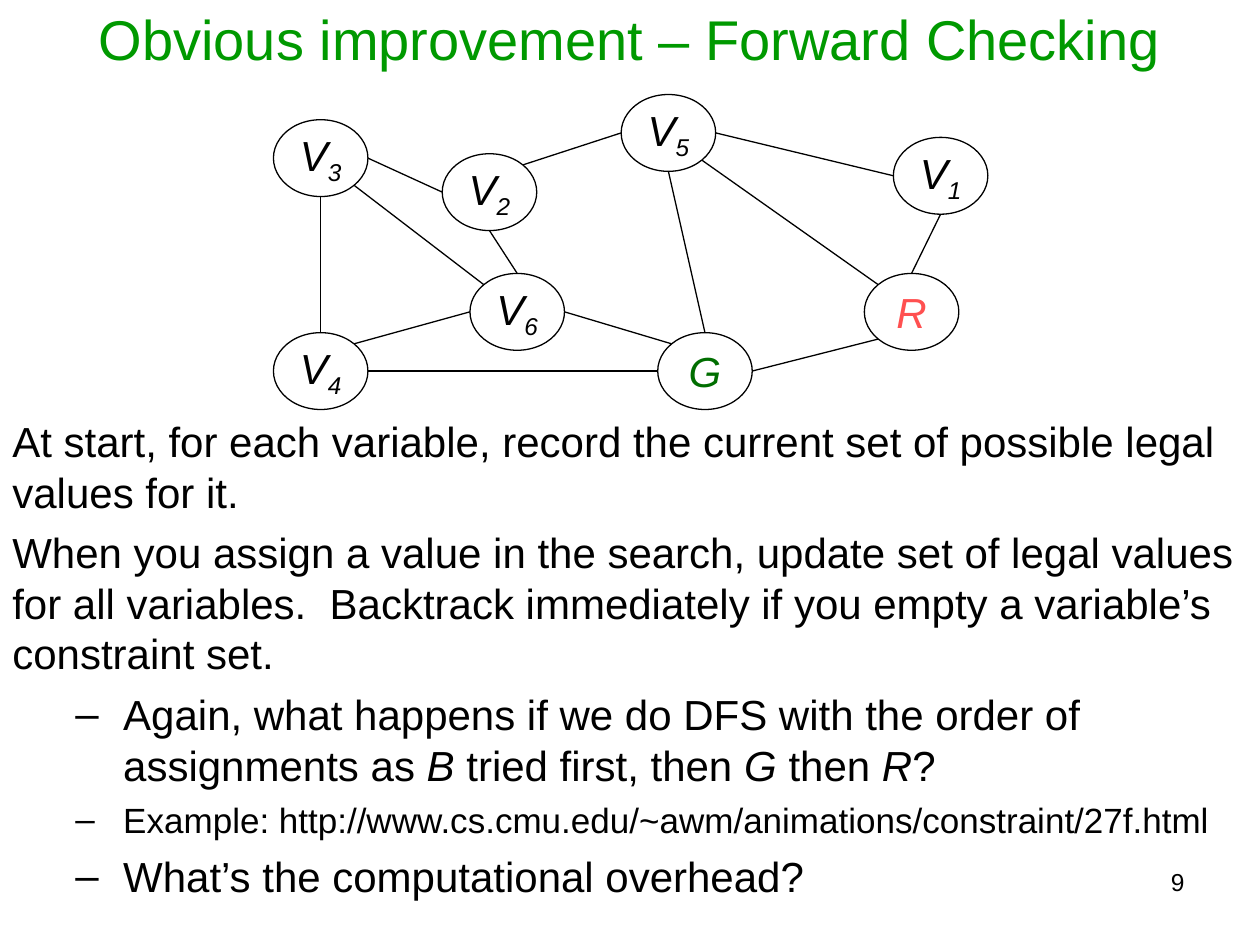
from dataclasses import dataclass

from lxml import etree
from pptx import Presentation
from pptx import util as u
from pptx.dml.color import RGBColor
from pptx.enum import shapes, text
from pptx.oxml.ns import qn


@dataclass(frozen=True)
class Theme:
    font: str = "Arial"
    ink: str = "000000"
    title: str = "009900"
    red: str = "FF5050"
    green: str = "006E00"
    title_size: int = 32
    body_size: int = 24
    example_size: int = 20
    number_size: int = 14
    line_width: float = 0.75


THEME = Theme()
NODE_W, NODE_H = 0.75, 0.61

# Variable nodes: left, top, letter, subscript, colour
NODES = {
    "V3": (2.17, 0.95, "V", "3", THEME.ink),
    "V6": (3.73, 2.17, "V", "6", THEME.ink),
    "V2": (3.51, 1.22, "V", "2", THEME.ink),
    "R": (6.86, 2.17, "R", "", THEME.red),
    "G": (5.22, 2.64, "G", "", THEME.green),
    "V1": (7.09, 1.09, "V", "1", THEME.ink),
    "V5": (4.93, 0.75, "V", "5", THEME.ink),
    "V4": (2.17, 2.64, "V", "4", THEME.ink),
}

# Points on a node's rim, as directions from its centre
DIAGONAL = 0.71
SITES = {
    "n": (0, -1), "s": (0, 1), "w": (-1, 0), "e": (1, 0),
    "ne": (DIAGONAL, -DIAGONAL), "nw": (-DIAGONAL, -DIAGONAL),
    "se": (DIAGONAL, DIAGONAL), "sw": (-DIAGONAL, DIAGONAL),
}

# Constraints: node and rim point at each end
CONSTRAINTS = [
    ("V3", "s", "V4", "n"), ("V3", "e", "V2", "w"), ("V3", "se", "V6", "nw"),
    ("V4", "e", "G", "w"), ("V4", "ne", "V6", "w"), ("V6", "n", "V2", "s"),
    ("V2", "ne", "V5", "w"), ("V5", "e", "V1", "w"), ("V1", "s", "R", "n"),
    ("G", "e", "R", "sw"), ("V5", "se", "R", "nw"), ("V6", "e", "G", "nw"),
    ("V5", "s", "G", "n"),
]

# Explanation: dashed or not, size, space before, (words, italic) runs
EXPLANATION = [
    (False, THEME.body_size, 0, [
        ("At start, for each variable, record the current set of possible "
         "legal values for it.", False)]),
    (False, THEME.body_size, 6, [
        ("When you assign a value in the search, update set of legal values "
         "for all variables.  Backtrack immediately if you empty a "
         "variable’s constraint set.", False)]),
    (True, THEME.body_size, 6, [
        ("Again, what happens if we do DFS with the order of assignments as ",
         False),
        ("B", True), (" tried first, then ", False), ("G", True),
        (" then ", False), ("R", True), ("?", False)]),
    (True, THEME.example_size, 5, [
        ("Example: http://www.cs.cmu.edu/~awm/animations/constraint/27f.html",
         False)]),
    (True, THEME.body_size, 6, [("What’s the computational overhead?", False)]),
]


def rim_point(node, site):
    left, top = NODES[node][:2]
    dx, dy = SITES[site]
    return left + NODE_W / 2 * (1 + dx), top + NODE_H / 2 * (1 + dy)


class SlideBuilder:
    def __init__(self, slide, theme):
        self.slide = slide
        self.theme = theme

    def run(self, paragraph, words, size, color=None, italic=False):
        run = paragraph.add_run()
        run.text = words
        run.font.name = self.theme.font
        run.font.size = u.Pt(size)
        run.font.italic = italic
        run.font.color.rgb = RGBColor.from_string(color or self.theme.ink)
        return run

    def stroke(self, line):
        line.color.rgb = RGBColor.from_string(self.theme.ink)
        line.width = u.Pt(self.theme.line_width)

    def title(self, words, left, top, width, height):
        title = self.slide.shapes.title
        title.left, title.top = u.Inches(left), u.Inches(top)
        title.width, title.height = u.Inches(width), u.Inches(height)
        frame = title.text_frame
        frame.auto_size = text.MSO_AUTO_SIZE.NONE
        frame.vertical_anchor = text.MSO_ANCHOR.MIDDLE
        heading = frame.paragraphs[0]
        heading.alignment = text.PP_ALIGN.CENTER
        self.run(heading, words, self.theme.title_size, self.theme.title)

    def text_box(self, left, top, width, height):
        box = self.slide.shapes.add_textbox(
            u.Inches(left), u.Inches(top), u.Inches(width), u.Inches(height))
        box.text_frame.word_wrap = True
        return box.text_frame

    def dash(self, paragraph):
        props = paragraph._p.get_or_add_pPr()
        props.set("marL", str(u.Inches(0.88)))
        props.set("indent", str(u.Inches(-0.38)))
        etree.SubElement(props, qn("a:buFont"), typeface=self.theme.font)
        etree.SubElement(props, qn("a:buChar"), char="–")

    def explanation(self, items, left, top, width, height):
        frame = self.text_box(left, top, width, height)
        for index, (dashed, size, space, runs) in enumerate(items):
            paragraph = frame.add_paragraph() if index else frame.paragraphs[0]
            if dashed:
                self.dash(paragraph)
            paragraph.space_before = u.Pt(space)
            for words, italic in runs:
                self.run(paragraph, words, size, italic=italic)

    def node(self, left, top, letter, subscript, color):
        node = self.slide.shapes.add_shape(
            shapes.MSO_SHAPE.FLOWCHART_CONNECTOR, u.Inches(left),
            u.Inches(top), u.Inches(NODE_W), u.Inches(NODE_H))
        node.shadow.inherit = False
        node.fill.background()
        self.stroke(node.line)
        frame = node.text_frame
        frame.word_wrap = False
        frame.vertical_anchor = text.MSO_ANCHOR.MIDDLE
        label = frame.paragraphs[0]
        label.alignment = text.PP_ALIGN.CENTER
        self.run(label, letter, self.theme.body_size, color, italic=True)
        if subscript:
            index = self.run(label, subscript, self.theme.body_size, color,
                             italic=True)
            index.font._element.set("baseline", "-25000")

    def edge(self, start, end):
        ends = [u.Inches(value) for value in (*start, *end)]
        edge = self.slide.shapes.add_connector(
            shapes.MSO_CONNECTOR.STRAIGHT, *ends)
        self.stroke(edge.line)
        etree.SubElement(edge._element.spPr, qn("a:effectLst"))

    def page_number(self, number, left, top, width, height):
        paragraph = self.text_box(left, top, width, height).paragraphs[0]
        paragraph.alignment = text.PP_ALIGN.RIGHT
        self.run(paragraph, number, self.theme.number_size)


def main():
    deck = Presentation()
    deck.slide_width, deck.slide_height = u.Inches(10), u.Inches(7.5)
    title_only = deck.slide_layouts[5]
    builder = SlideBuilder(deck.slides.add_slide(title_only), THEME)

    # Heading and explanation
    builder.title("Obvious improvement – Forward Checking", 0.5, 0.08, 9, 0.45)
    builder.explanation(EXPLANATION, 0, 3.25, 10, 4)

    # Constraint graph
    for node in NODES.values():
        builder.node(*node)
    for first, first_site, second, second_site in CONSTRAINTS:
        builder.edge(rim_point(first, first_site),
                     rim_point(second, second_site))

    builder.page_number("9", 4.83, 6.83, 4.67, 0.52)
    deck.save("out.pptx")


if __name__ == "__main__":
    main()
